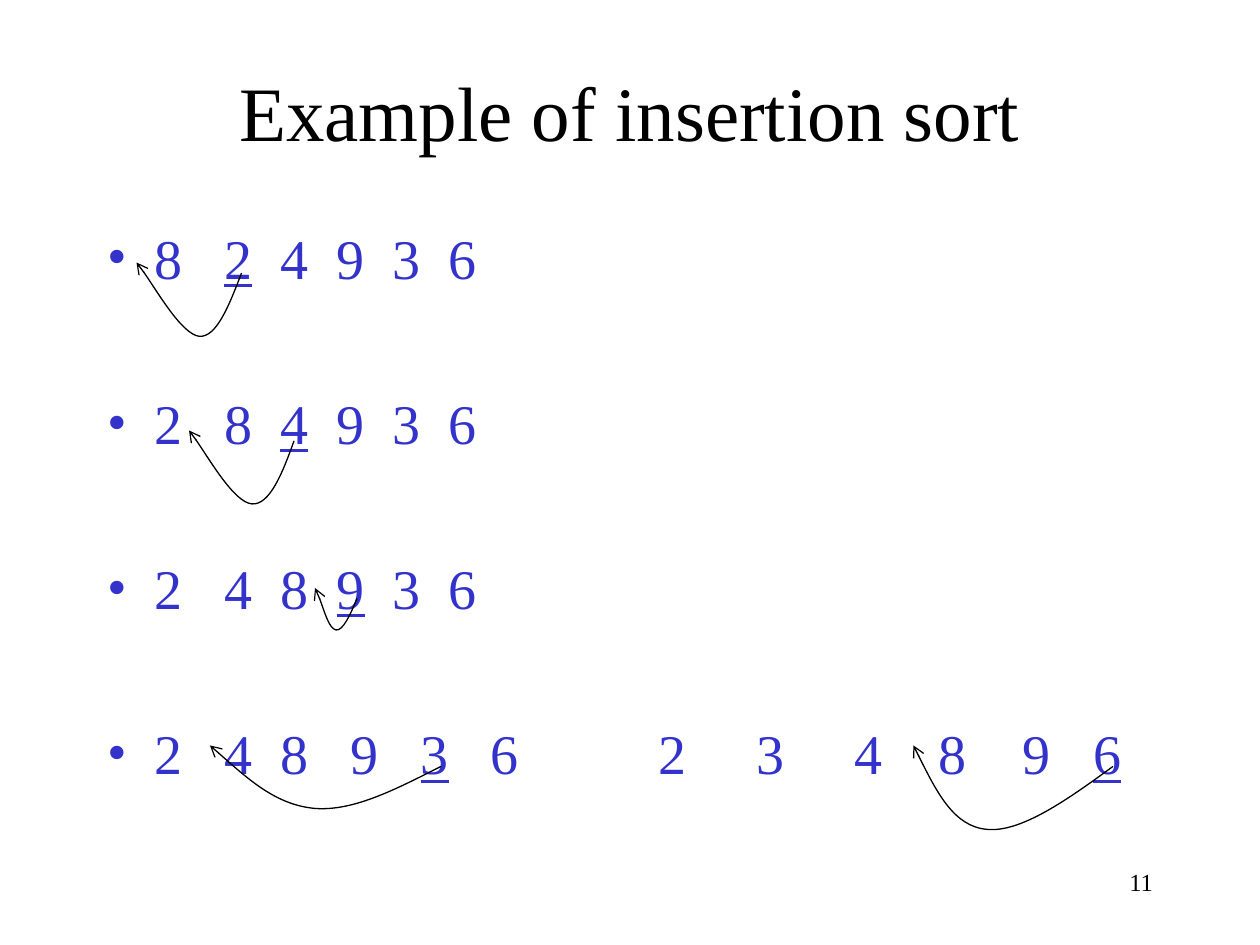
import pptx
import pptx.util
import pptx.dml.color
import pptx.enum.text
import pptx.oxml
import pptx.oxml.ns
from lxml import etree

Pt = pptx.util.Pt
qn = pptx.oxml.ns.qn
ALIGN = pptx.enum.text.PP_ALIGN
BLACK = pptx.dml.color.RGBColor(0x00, 0x00, 0x00)
BLUE = pptx.dml.color.RGBColor(0x33, 0x33, 0xCC)
FONT = "Times New Roman"
SPACE_WIDTH = 8

SORT_STEPS = [
    ("824936", [1], [24, 16, 16, 16, 16]),
    ("284936", [2], [24, 16, 16, 16, 16]),
    ("248936", [3], [24, 16, 16, 16, 16]),
    ("248936234896", [4, 11], [24, 16, 24, 24, 24, 80, 40, 40, 32, 32, 24]),
]
MOVES = [
    [(138, 156), (131, 174.2), (123.8, 193), (113.8, 192.2), (103.7, 190.8), (84.2, 157), (78, 150)],
    [(168, 252), (161.3, 270.7), (154.1, 288.7), (144, 288), (133.9, 287.3), (113.8, 252.7), (108, 246)],
    [(204, 342), (200.2, 351.4), (195.8, 360.7), (192, 360), (187.9, 359.3), (182.2, 339.1), (180, 336)],
    [(252, 438), (226.8, 450.7), (202.3, 463.7), (180, 462), (157.7, 460), (139, 442.8), (120, 426)],
    [(636, 438), (609.8, 457.2), (583.2, 475.9), (564, 474), (545, 472.3), (533.5, 449.3), (522, 426)],
]


def place(box, left, top, width, height):
    box.left, box.top, box.width, box.height = Pt(left), Pt(top), Pt(width), Pt(height)
    box.text_frame.word_wrap = True
    box.text_frame.auto_size = pptx.enum.text.MSO_AUTO_SIZE.NONE
    return box.text_frame


def add_run(paragraph, text, size, color):
    run = paragraph.add_run()
    run.text = text
    run.font.name = FONT
    run.font.size = Pt(size)
    run.font.color.rgb = color
    return run


deck = pptx.Presentation()
deck.slide_width, deck.slide_height = Pt(720), Pt(540)
slide = deck.slides.add_slide(deck.slide_layouts[1])

heading = place(slide.shapes.title, 54, 18, 612, 90)
heading.vertical_anchor = pptx.enum.text.MSO_ANCHOR.MIDDLE
heading.paragraphs[0].alignment = ALIGN.CENTER
add_run(heading.paragraphs[0], "Example of insertion sort", 44, BLACK)

steps = place(slide.placeholders[1], 54, 124, 612, 356)
for row, (digits, underlined, gaps) in enumerate(SORT_STEPS):
    step = steps.paragraphs[0] if row == 0 else steps.add_paragraph()
    properties = step._p.get_or_add_pPr()
    properties.set("marL", str(Pt(27)))
    properties.set("indent", str(-Pt(27)))
    bullet_color = etree.SubElement(properties, qn("a:buClr"))
    etree.SubElement(bullet_color, qn("a:srgbClr"), val=str(BLUE))
    etree.SubElement(properties, qn("a:buFont"), typeface=FONT)
    etree.SubElement(properties, qn("a:buChar"), char="•")
    step.space_before = Pt(56 if row else 0)
    for index, digit in enumerate(digits):
        number = add_run(step, digit, 32, BLUE)
        if index in underlined:
            number.font.underline = True
        if index < len(gaps):
            gap = add_run(step, " ", 32, BLUE)
            gap.font._element.set("spc", str((gaps[index] - SPACE_WIDTH) * 100))

page = place(slide.shapes.add_textbox(0, 0, 0, 0), 516, 492, 150, 36)
page.paragraphs[0].alignment = ALIGN.RIGHT
add_run(page.paragraphs[0], "11", 14, BLACK)

for points in MOVES:
    start, *bends = [(Pt(x), Pt(y)) for x, y in points]
    builder = slide.shapes.build_freeform(*start)
    builder.add_line_segments(bends, close=False)
    move = builder.convert_to_shape()
    move.shadow.inherit = False
    move.fill.background()
    move.line.color.rgb = BLACK
    move.line.width = Pt(0.75)
    etree.SubElement(move.line._get_or_add_ln(), qn("a:tailEnd"), type="arrow")
    outline = move._element.find(".//" + qn("a:path"))
    segments = outline.findall(qn("a:lnTo"))
    for first in range(0, len(segments), 3):
        curve = etree.SubElement(outline, qn("a:cubicBezTo"))
        for segment in segments[first:first + 3]:
            curve.append(segment[0])
            outline.remove(segment)

deck.save("out.pptx")
